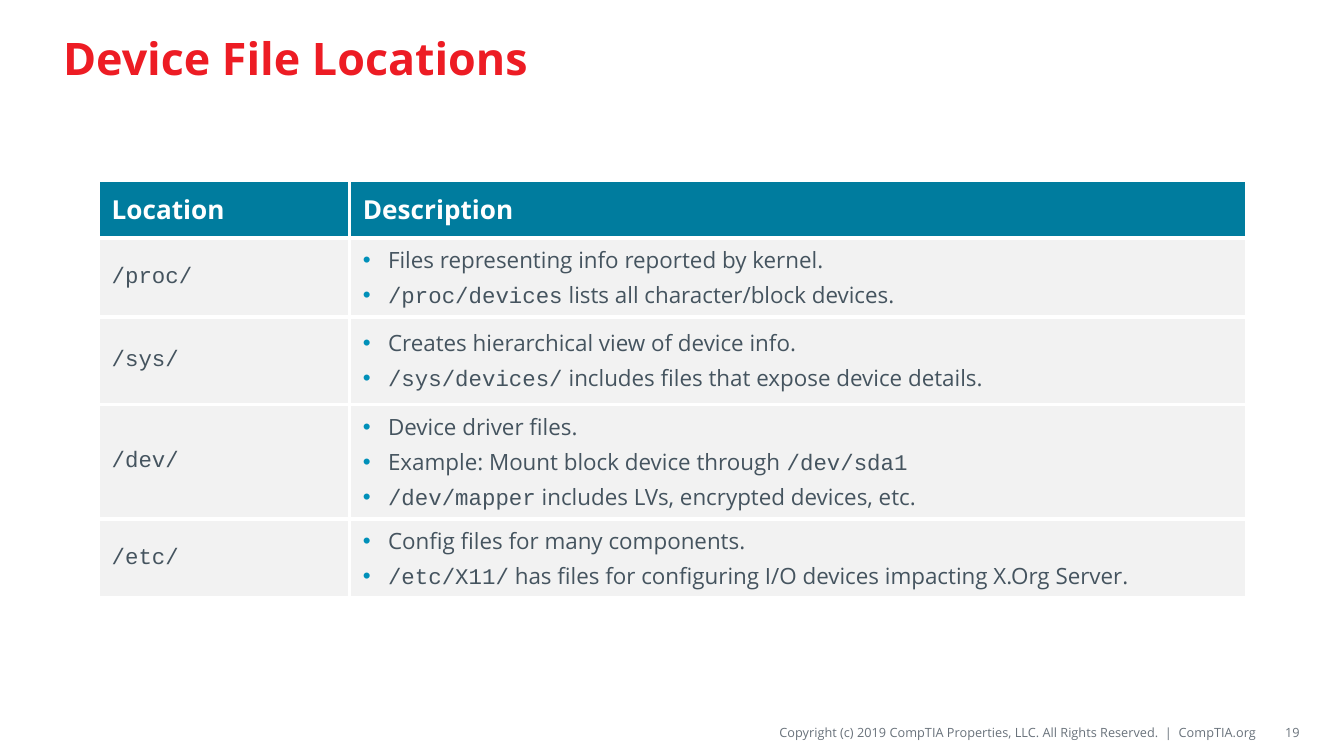
"""Build the slide on device file locations."""
from dataclasses import dataclass

from lxml import etree
from pptx import Presentation
from pptx.dml.color import RGBColor
from pptx.enum.text import MSO_ANCHOR, MSO_AUTO_SIZE, PP_ALIGN
from pptx.oxml.ns import qn
from pptx.util import Pt

MIDDLE = MSO_ANCHOR.MIDDLE
LEFT, RIGHT = PP_ALIGN.LEFT, PP_ALIGN.RIGHT
FIXED = MSO_AUTO_SIZE.NONE
SANS, MONO = "Open Sans", "Courier New"
COLORS = {
    "title": "ED1C24", "head": "007C9E", "row": "F2F2F2", "white": "FFFFFF",
    "body": "45545F", "bullet": "0090B9", "foot": "69727B",
}
INDENT = Pt(13.5)


@dataclass
class Entry:
    place: str
    notes: list[str]
    height: float


@dataclass
class Note:
    text: str
    left: float
    width: float
    inset: float


ENTRIES = [
    Entry("`/proc/`", ["Files representing info reported by kernel.",
                       "`/proc/devices` lists all character/block devices."], 42.3),
    Entry("`/sys/`", ["Creates hierarchical view of device info.",
                      "`/sys/devices/` includes files that expose device details."], 46.8),
    Entry("`/dev/`", ["Device driver files.",
                      "Example: Mount block device through `/dev/sda1`",
                      "`/dev/mapper` includes LVs, encrypted devices, etc."], 61),
    Entry("`/etc/`", ["Config files for many components.",
                      "`/etc/X11/` has files for configuring I/O devices impacting X.Org Server."],
          42.3),
]
FOOTER = [
    Note("Copyright (c) 2019 CompTIA Properties, LLC. All Rights Reserved.  |  CompTIA.org",
         279.4, 393.8, 0),
    Note("19", 675.4, 20.9, 7.2),
]


def paint(parent, color: str) -> None:
    """Append a solid fill to an XML element."""
    fill = etree.SubElement(parent, qn("a:solidFill"))
    etree.SubElement(fill, qn("a:srgbClr"), val=COLORS[color])


def add_bullet(para) -> None:
    """Give a paragraph a hanging coloured bullet."""
    props = para._p.get_or_add_pPr()
    props.set("marL", str(INDENT))
    props.set("indent", str(-INDENT))
    tint = etree.SubElement(props, qn("a:buClr"))
    etree.SubElement(tint, qn("a:srgbClr"), val=COLORS["bullet"])
    etree.SubElement(props, qn("a:buFont"), typeface="Arial")
    etree.SubElement(props, qn("a:buChar"), char="•")


def write(frame, *lines: str, size: float, color: str, bold: bool = False,
          align=LEFT, bullet: bool = False, gap: float = 0) -> None:
    """Write lines into a frame, with text in backticks set in the code font."""
    for row, line in enumerate(lines):
        para = frame.add_paragraph() if row else frame.paragraphs[0]
        if bullet:
            add_bullet(para)
        para.alignment = align
        para.space_before = Pt(gap if row else 0)
        for part, text in enumerate(line.split("`")):
            if not text:
                continue
            run = para.add_run()
            run.text = text
            font = run.font
            font.name = MONO if part % 2 else SANS
            font.size, font.bold = Pt(size), bold
            font.color.rgb = RGBColor.from_string(COLORS[color])


def style_cell(cell, color: str) -> None:
    """Set the fill, anchor and white borders of a cell."""
    cell.vertical_anchor = MIDDLE
    props = cell._tc.get_or_add_tcPr()
    for side in ("lnL", "lnR", "lnT", "lnB"):
        edge = etree.SubElement(props, qn(f"a:{side}"), w=str(Pt(2.25)))
        paint(edge, "white")
    cell.fill.solid()
    cell.fill.fore_color.rgb = RGBColor.from_string(COLORS[color])


def add_title(slide, text: str) -> None:
    """Place and fill the title placeholder."""
    title = slide.shapes.title
    title.left, title.top = Pt(26.6), Pt(5.8)
    title.width, title.height = Pt(666), Pt(49.7)
    frame = title.text_frame
    frame.auto_size, frame.vertical_anchor = FIXED, MIDDLE
    write(frame, text, size=24, color="title", bold=True)


def add_grid(slide, entries: list[Entry]) -> None:
    """Draw the table of locations."""
    heights = [31] + [entry.height for entry in entries]
    widths = [134.6, 480.6]
    grid = slide.shapes.add_table(len(heights), len(widths), Pt(52.6), Pt(96.5),
                                  Pt(sum(widths)), Pt(sum(heights))).table
    for column, width in zip(grid.columns, widths):
        column.width = Pt(width)
    for row, height in zip(grid.rows, heights):
        row.height = Pt(height)
    for col, text in enumerate(("Location", "Description")):
        cell = grid.cell(0, col)
        style_cell(cell, "head")
        write(cell.text_frame, text, size=14, color="white", bold=True)
    for row, entry in enumerate(entries, 1):
        place, notes = grid.cell(row, 0), grid.cell(row, 1)
        style_cell(place, "row")
        style_cell(notes, "row")
        write(place.text_frame, entry.place, size=12, color="body")
        write(notes.text_frame, *entry.notes, size=12, color="body", bullet=True, gap=2.4)


def add_note(slide, note: Note) -> None:
    """Add one right-aligned footer text."""
    box = slide.shapes.add_textbox(Pt(note.left), Pt(384.5), Pt(note.width), Pt(15.8))
    frame = box.text_frame
    frame.word_wrap, frame.vertical_anchor = True, MIDDLE
    frame.margin_left, frame.margin_right = Pt(note.inset), 0
    frame.margin_top = frame.margin_bottom = Pt(3)
    write(frame, note.text, size=6.8, color="foot", align=RIGHT)


def main() -> None:
    """Build and save the deck."""
    deck = Presentation()
    deck.slide_width, deck.slide_height = Pt(720), Pt(405)
    slide = deck.slides.add_slide(deck.slide_layouts[5])
    add_title(slide, "Device File Locations")
    add_grid(slide, ENTRIES)
    for note in FOOTER:
        add_note(slide, note)
    deck.save("out.pptx")


if __name__ == "__main__":
    main()
